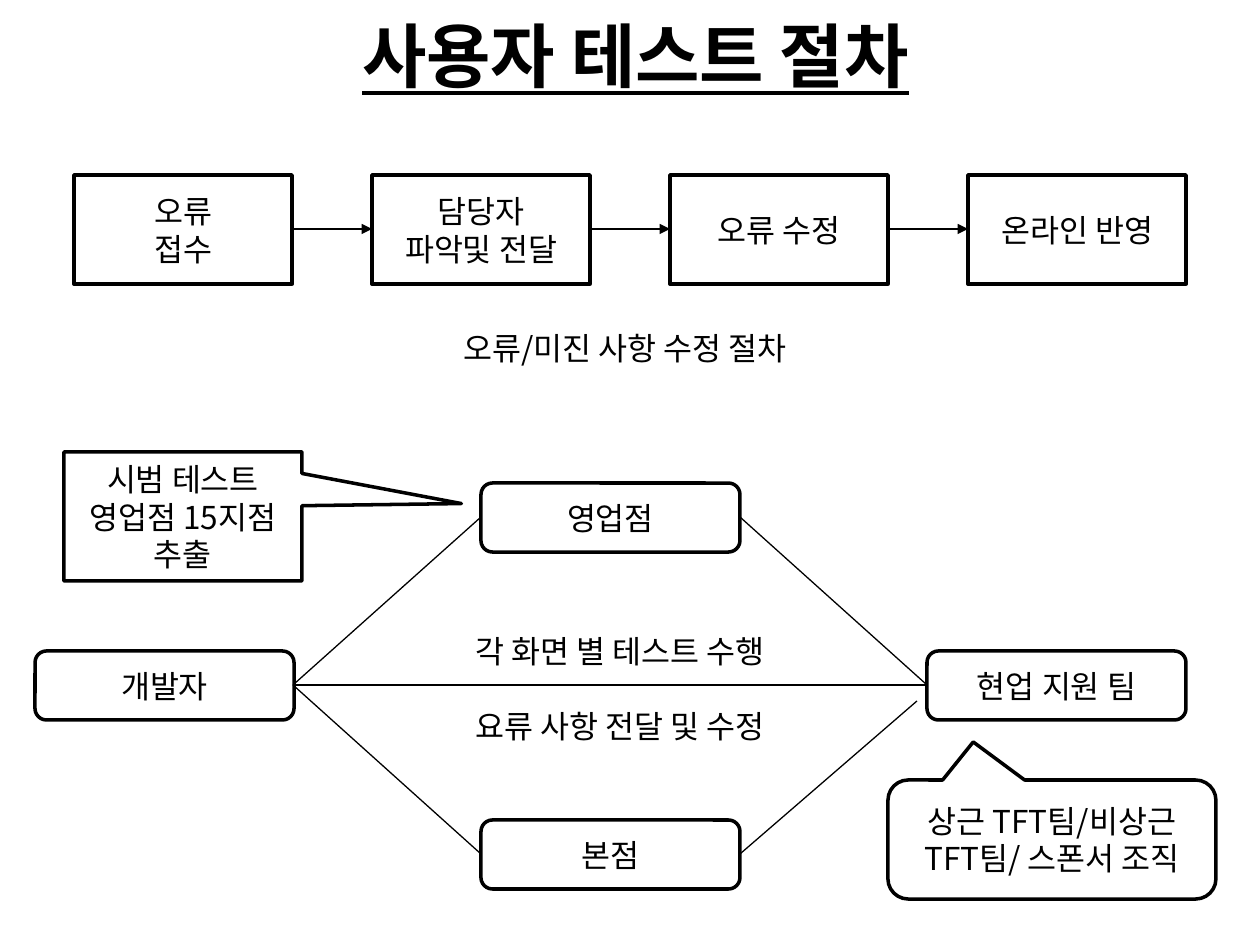
from dataclasses import dataclass

from lxml.etree import SubElement
from pptx import Presentation
from pptx.dml.color import RGBColor
from pptx.enum.shapes import MSO_CONNECTOR, MSO_SHAPE
from pptx.enum.text import MSO_ANCHOR, PP_ALIGN
from pptx.oxml.ns import qn
from pptx.util import Pt

PX = 914400 / 126
FONT = "Noto Sans CJK KR"
COLORS = {"ink": "000000", "paper": "FFFFFF"}


@dataclass
class Box:
    text: str
    x: int
    y: int
    w: int
    h: int
    kind: MSO_SHAPE = MSO_SHAPE.ROUNDED_RECTANGLE
    adjustments: tuple[float, ...] = ()


@dataclass
class Label:
    text: str
    x: int
    y: int


@dataclass
class Line:
    x1: int
    y1: int
    x2: int
    y2: int
    arrow: bool = False


def px(n: int) -> int:
    return round(n * PX)


def color(key: str) -> RGBColor:
    return RGBColor.from_string(COLORS[key])


def write(sp, text: str, size: int = 18, heading: bool = False) -> None:
    tf = sp.text_frame
    tf.word_wrap = True
    tf.vertical_anchor = MSO_ANCHOR.MIDDLE
    for i, words in enumerate(text.split("\n")):
        p = tf.add_paragraph() if i else tf.paragraphs[0]
        p.alignment = PP_ALIGN.CENTER
        r = p.add_run()
        r.text = words
        r.font.name = FONT
        r.font.size = Pt(size)
        r.font.color.rgb = color("ink")
        if heading:
            r.font.bold = True
            r.font.underline = True
        latin = r.font._element.find(qn("a:latin"))
        ea = SubElement(r.font._element, qn("a:ea"), typeface=FONT)
        latin.addnext(ea)


def add_box(s, box: Box) -> None:
    sp = s.shapes.add_shape(box.kind, px(box.x), px(box.y), px(box.w), px(box.h))
    sp.shadow.inherit = False
    for i, value in enumerate(box.adjustments):
        sp.adjustments[i] = value
    sp.fill.solid()
    sp.fill.fore_color.rgb = color("paper")
    sp.line.color.rgb = color("ink")
    sp.line.width = Pt(2)
    write(sp, box.text)


def add_label(s, label: Label) -> None:
    sp = s.shapes.add_textbox(px(label.x), px(label.y), px(586), px(50))
    write(sp, label.text)


def add_line(s, line: Line) -> None:
    sp = s.shapes.add_connector(
        MSO_CONNECTOR.STRAIGHT, px(line.x1), px(line.y1), px(line.x2), px(line.y2))
    sp.line.color.rgb = color("ink")
    sp.line.width = Pt(0.75)
    if line.arrow:
        SubElement(sp.line._get_or_add_ln(), qn("a:tailEnd"), type="triangle")
    SubElement(sp._element.spPr, qn("a:effectLst"))


prs = Presentation()
prs.slide_width, prs.slide_height = px(1260), px(945)
s = prs.slides.add_slide(prs.slide_layouts[5])

title = s.shapes.title
title.left, title.top, title.width, title.height = px(273), px(6), px(725), px(97)
write(title, "사용자 테스트 절차", 40, True)

STEP_X, STEP_Y, STEP_W, STEP_H, PITCH = 74, 175, 218, 109, 298
steps = ["오류\n접수", "담당자\n파악및 전달", "오류 수정", "온라인 반영"]
for i, step in enumerate(steps):
    x = STEP_X + i * PITCH
    add_box(s, Box(step, x, STEP_Y, STEP_W, STEP_H, MSO_SHAPE.RECTANGLE))
    if i:
        add_line(s, Line(x - PITCH + STEP_W, 229, x, 229, True))

NODE_W, NODE_H = 259, 69
nodes = [("영업점", 481, 483), ("본점", 481, 820),
         ("개발자", 35, 651), ("현업 지원 팀", 927, 651)]
for text, x, y in nodes:
    add_box(s, Box(text, x, y, NODE_W, NODE_H))

callouts = [
    Box("시범 테스트\n영업점 15지점\n추출", 64, 452, 238, 129,
        MSO_SHAPE.RECTANGULAR_CALLOUT, (1.17, -0.1)),
    Box("상근 TFT팀/비상근 TFT팀/ 스폰서 조직", 888, 780, 328, 119,
        MSO_SHAPE.ROUNDED_RECTANGULAR_CALLOUT, (-0.24, -0.82, 0.17)),
]
for callout in callouts:
    add_box(s, callout)

links = [Line(740, 517, 927, 685), Line(481, 517, 293, 685),
         Line(293, 685, 481, 854), Line(740, 854, 917, 701),
         Line(927, 685, 293, 685)]
for link in links:
    add_line(s, link)

labels = [Label("오류/미진 사항 수정 절차", 332, 323),
          Label("각 화면 별 테스트 수행", 327, 626),
          Label("요류 사항 전달 및 수정", 327, 701)]
for label in labels:
    add_label(s, label)

prs.save("out.pptx")
